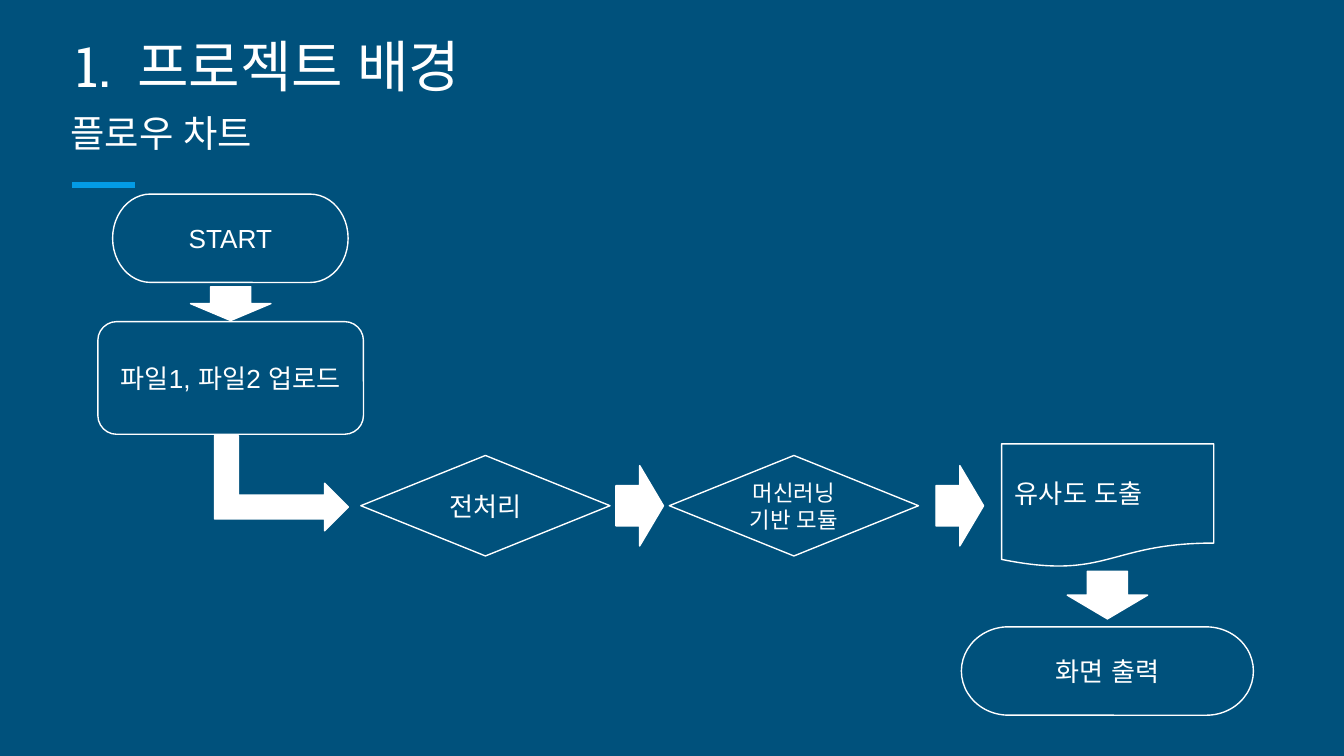
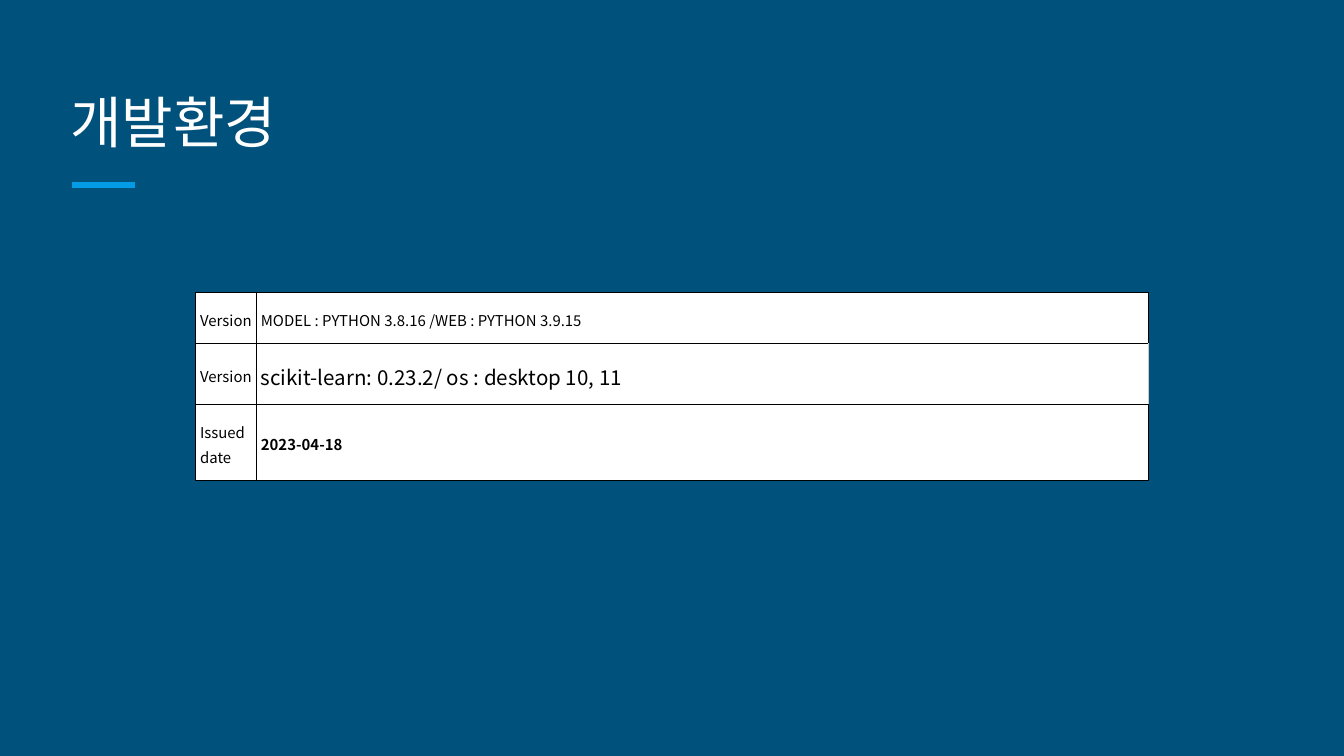
from lxml.etree import SubElement
from pptx import Presentation
from pptx.dml.color import RGBColor
from pptx.enum.shapes import MSO_CONNECTOR, MSO_SHAPE
from pptx.enum.text import MSO_ANCHOR, PP_ALIGN
from pptx.oxml.ns import qn
from pptx.util import Cm, Pt

NAVY, ACCENT, WHITE, BLACK, GREY = "00517C", "039BE5", "FFFFFF", "000000", "CCCCCC"
TITLE_FONT, BODY_FONT, TABLE_FONT = "Roboto Slab", "Arial", "Noto Sans CJK KR"
PAD = 0.25


def color(value):
    return RGBColor.from_string(value)


def set_font(r, hex_color, **formats):
    for name, value in formats.items():
        setattr(r.font, name, value)
    r.font.color.rgb = color(hex_color)
    for script in ("ea", "cs"):
        SubElement(r._r.get_or_add_rPr(), qn(f"a:{script}"), typeface=formats["name"])


def set_frame(tf, anchor):
    tf.word_wrap = True
    formats = {"vertical_anchor": anchor}
    formats.update({f"margin_{side}": Cm(PAD) for side in ("left", "top", "right", "bottom")})
    for name, value in formats.items():
        setattr(tf, name, value)


def add_slide(prs):
    s = prs.slides.add_slide(prs.slide_layouts[6])
    s.background.fill.solid()
    s.background.fill.fore_color.rgb = color(NAVY)
    rule = s.shapes.add_connector(MSO_CONNECTOR.STRAIGHT, Cm(1.37), Cm(3.5), Cm(2.55), Cm(3.5))
    rule.line.color.rgb = color(ACCENT)
    rule.line.width = Pt(3)
    SubElement(rule._element.spPr, qn("a:effectLst"))
    return s


def add_title(s, text, top=1.28, size=30, numbered=False):
    tf = s.shapes.add_textbox(Cm(1.08), Cm(top), Cm(23.24), Cm(1.9)).text_frame
    set_frame(tf, MSO_ANCHOR.BOTTOM)
    p = tf.paragraphs[0]
    r = p.add_run()
    r.text = text
    if numbered:
        pPr = p._p.get_or_add_pPr()
        pPr.set("marL", str(Cm(1.27)))
        pPr.set("indent", str(Cm(-1.17)))
        SubElement(SubElement(pPr, qn("a:buClr")), qn("a:srgbClr"), val=WHITE)
        SubElement(pPr, qn("a:buAutoNum"), type="arabicPeriod")
    set_font(r, WHITE, name=TITLE_FONT, size=Pt(size))


def add_outlined(s, kind, left, top, width, height):
    sp = s.shapes.add_shape(kind, Cm(left), Cm(top), Cm(width), Cm(height))
    sp.shadow.inherit = False
    sp.line.color.rgb = color(WHITE)
    sp.line.width = Pt(0.75)
    return sp


def add_step(s, kind, box, lines, size=14, align=PP_ALIGN.CENTER):
    sp = add_outlined(s, kind, *box)
    sp.fill.background()
    tf = sp.text_frame
    set_frame(tf, MSO_ANCHOR.MIDDLE)
    tf.text = "\n".join(lines)
    for p in tf.paragraphs:
        p.alignment = align
        set_font(p.runs[0], WHITE, name=BODY_FONT, size=Pt(size))


def add_arrow(s, box, rotation=0, kind=MSO_SHAPE.DOWN_ARROW):
    sp = add_outlined(s, kind, *box)
    sp.rotation = rotation
    sp.fill.solid()
    sp.fill.fore_color.rgb = color(WHITE)


def set_borders(cell, right):
    tcPr = cell._tc.get_or_add_tcPr()
    for side, value in {"L": BLACK, "R": right, "T": BLACK, "B": BLACK}.items():
        ln = SubElement(tcPr, qn(f"a:ln{side}"), w=str(Pt(0.5)))
        SubElement(SubElement(ln, qn("a:solidFill")), qn("a:srgbClr"), val=value)


def fill_cell(cell, text, size=8, bold=False, right=BLACK):
    set_borders(cell, right)
    cell.fill.solid()
    cell.fill.fore_color.rgb = color(WHITE)
    cell.vertical_anchor = MSO_ANCHOR.MIDDLE
    cell.margin_left = cell.margin_right = Cm(0.08)
    cell.margin_top = cell.margin_bottom = Cm(PAD)
    p = cell.text_frame.paragraphs[0]
    p.line_spacing = 1.15
    r = p.add_run()
    r.text = text
    set_font(r, BLACK, name=TABLE_FONT, size=Pt(size), bold=bold)


def add_environment_table(s, rows):
    widths, heights = [1.15, 5.46, 3.8, 3.8, 3.8], [0.98, 1.15, 1.44]
    table = s.shapes.add_table(len(rows), len(widths), Cm(3.7), Cm(5.52),
                               Cm(sum(widths)), Cm(sum(heights))).table
    table.first_row = table.horz_banding = False
    for column, width in zip(table.columns, widths):
        column.width = Cm(width)
    for i, (label, value, formats) in enumerate(rows):
        table.rows[i].height = Cm(heights[i])
        table.cell(i, 1).merge(table.cell(i, len(widths) - 1))
        fill_cell(table.cell(i, 0), label)
        fill_cell(table.cell(i, 1), value, **formats)


def add_flowchart_slide(prs):
    s = add_slide(prs)
    add_title(s, "플로우 차트", size=20)
    add_title(s, "프로젝트 배경", top=0.22, numbered=True)

    terminator, decision = MSO_SHAPE.FLOWCHART_TERMINATOR, MSO_SHAPE.FLOWCHART_DECISION
    add_step(s, terminator, (2.13, 3.67, 4.45, 1.67), ["START"])
    add_step(s, MSO_SHAPE.ROUNDED_RECTANGLE, (1.85, 6.08, 5.02, 2.13), ["파일1, 파일2 업로드"])
    add_step(s, decision, (6.82, 8.61, 4.71, 1.9), ["전처리"])
    add_step(s, MSO_SHAPE.FLOWCHART_DOCUMENT, (18.93, 8.39, 4.01, 2.34), ["유사도 도출"],
             align=PP_ALIGN.LEFT)
    add_step(s, terminator, (18.17, 11.85, 5.52, 1.67), ["화면 출력"])
    add_step(s, decision, (12.65, 8.61, 4.71, 1.9), ["머신러닝", "기반 모듈"], size=12)

    add_arrow(s, (3.6, 5.42, 1.52, 0.64))
    add_arrow(s, (4.42, 7.87, 1.8, 2.53), 90, MSO_SHAPE.BENT_UP_ARROW)
    for left in (11.33, 17.38):
        add_arrow(s, (left, 9.11, 1.52, 0.9), 270)
    add_arrow(s, (20.17, 10.8, 1.52, 0.9))


def add_environment_slide(prs):
    s = add_slide(prs)
    add_title(s, "개발환경")
    add_environment_table(s, [
        ("Version", "MODEL : PYTHON 3.8.16 /WEB : PYTHON 3.9.15", {}),
        ("Version", "scikit-learn: 0.23.2/ os : desktop 10, 11", {"size": 11, "right": GREY}),
        ("Issued date", "2023-04-18", {"bold": True}),
    ])


def main():
    prs = Presentation()
    prs.slide_width, prs.slide_height = Cm(25.4), Cm(14.29)
    add_flowchart_slide(prs)
    add_environment_slide(prs)
    prs.save("out.pptx")


if __name__ == "__main__":
    main()
